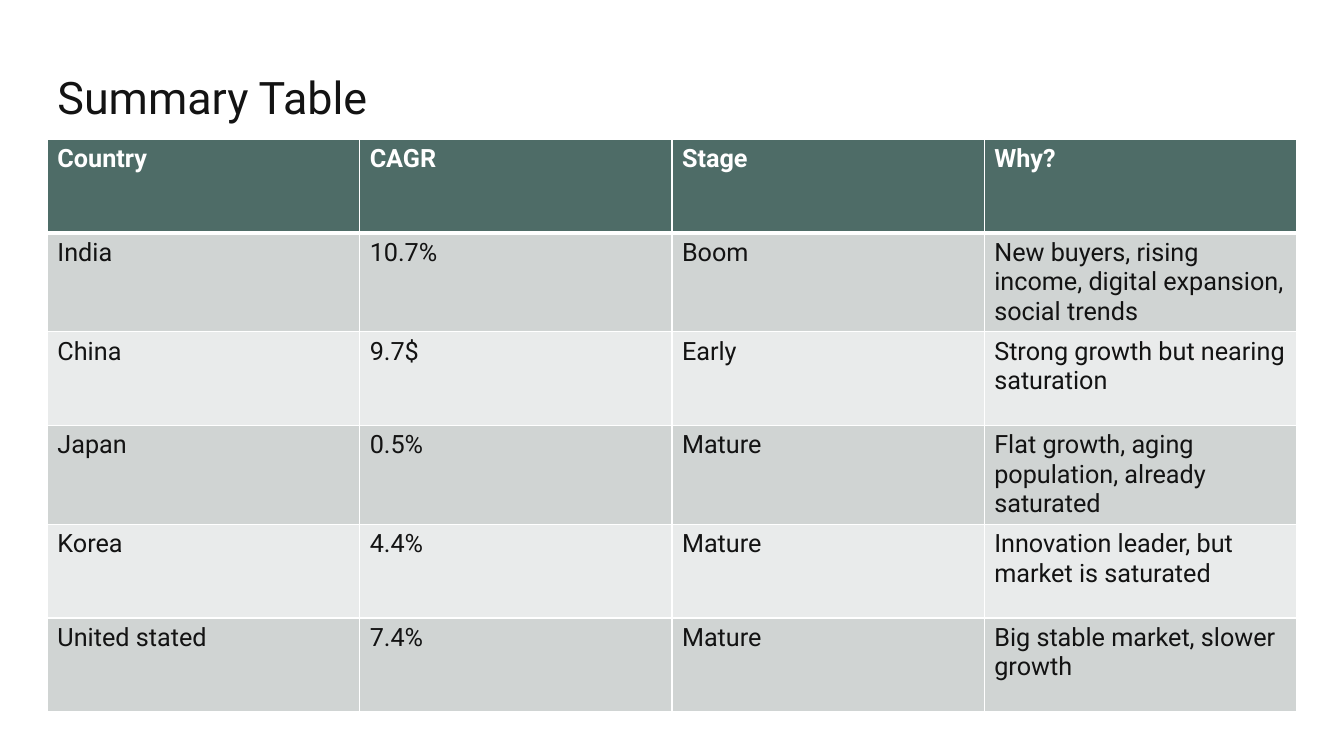
from lxml import etree
from pptx import Presentation
from pptx import util as u
from pptx.dml.color import RGBColor
from pptx.enum import text
from pptx.oxml import ns

WHITE = RGBColor(0xFF, 0xFF, 0xFF)
INK = RGBColor(0x13, 0x13, 0x13)
GREEN = RGBColor(0x4E, 0x6C, 0x67)
BAND_DARK = RGBColor(0xD0, 0xD4, 0xD3)
BAND_LIGHT = RGBColor(0xE9, 0xEB, 0xEB)

ROWS = [
    ("Country", "CAGR", "Stage", "Why?"),
    ("India", "10.7%", "Boom",
     "New buyers, rising income, digital expansion, social trends"),
    ("China", "9.7$", "Early", "Strong growth but nearing saturation"),
    ("Japan", "0.5%", "Mature",
     "Flat growth, aging population, already saturated"),
    ("Korea", "4.4%", "Mature", "Innovation leader, but market is saturated"),
    ("United stated", "7.4%", "Mature", "Big stable market, slower growth"),
]


class SlideBuilder:
    font = "Roboto"
    title_size = u.Pt(32)
    cell_size = u.Pt(18)

    def __init__(self, slide):
        self.s = slide

    def add_run(self, p, words, size, color, bold=False):
        r = p.add_run()
        r.text = words
        r.font.name = self.font
        r.font.size = size
        r.font.bold = bold
        r.font.color.rgb = color

    def title(self, words, left, top, width, height):
        sp = self.s.shapes.title
        sp.left, sp.top, sp.width, sp.height = map(
            u.Inches, (left, top, width, height))
        tf = sp.text_frame
        tf.word_wrap = True
        tf.auto_size = text.MSO_AUTO_SIZE.NONE
        tf.vertical_anchor = text.MSO_ANCHOR.TOP
        p = tf.paragraphs[0]
        p.alignment = text.PP_ALIGN.LEFT
        p.line_spacing = 0.9
        self.add_run(p, words, self.title_size, INK)

    def borders(self, cell, top=1, bottom=1):
        tc_pr = cell._tc.get_or_add_tcPr()
        sides = {"lnL": 1, "lnR": 1, "lnT": top, "lnB": bottom}
        for i, (side, points) in enumerate(sides.items()):
            ln = etree.Element(ns.qn(f"a:{side}"), w=str(u.Pt(points)))
            fill = etree.SubElement(ln, ns.qn("a:solidFill"))
            etree.SubElement(fill, ns.qn("a:srgbClr"), val=str(WHITE))
            tc_pr.insert(i, ln)

    def table(self, rows, left, top, width, row_height):
        n_rows, n_cols = len(rows), len(rows[0])
        table = self.s.shapes.add_table(
            n_rows, n_cols, u.Inches(left), u.Inches(top),
            u.Inches(width), u.Inches(row_height * n_rows)).table
        for col in table.columns:
            col.width = u.Inches(width / n_cols)
        for i, values in enumerate(rows):
            table.rows[i].height = u.Inches(row_height)
            header = i == 0
            fill = GREEN if header else BAND_DARK if i % 2 else BAND_LIGHT
            for j, value in enumerate(values):
                cell = table.cell(i, j)
                cell.fill.solid()
                cell.fill.fore_color.rgb = fill
                # A heavier rule separates the header from the body
                self.borders(cell, top=3 if i == 1 else 1,
                             bottom=3 if header else 1)
                self.add_run(cell.text_frame.paragraphs[0], value,
                             self.cell_size, WHITE if header else INK, header)


def main():
    prs = Presentation()
    prs.slide_width, prs.slide_height = u.Inches(13.33), u.Inches(7.5)
    s = prs.slides.add_slide(prs.slide_layouts[5])
    s.background.fill.solid()
    s.background.fill.fore_color.rgb = WHITE
    builder = SlideBuilder(s)

    # Title
    builder.title("Summary Table", 0.47, 0.7, 12.39, 0.81)

    # Market comparison by country
    builder.table(ROWS, 0.47, 1.38, 12.39, 0.93)

    prs.save("out.pptx")


if __name__ == "__main__":
    main()
